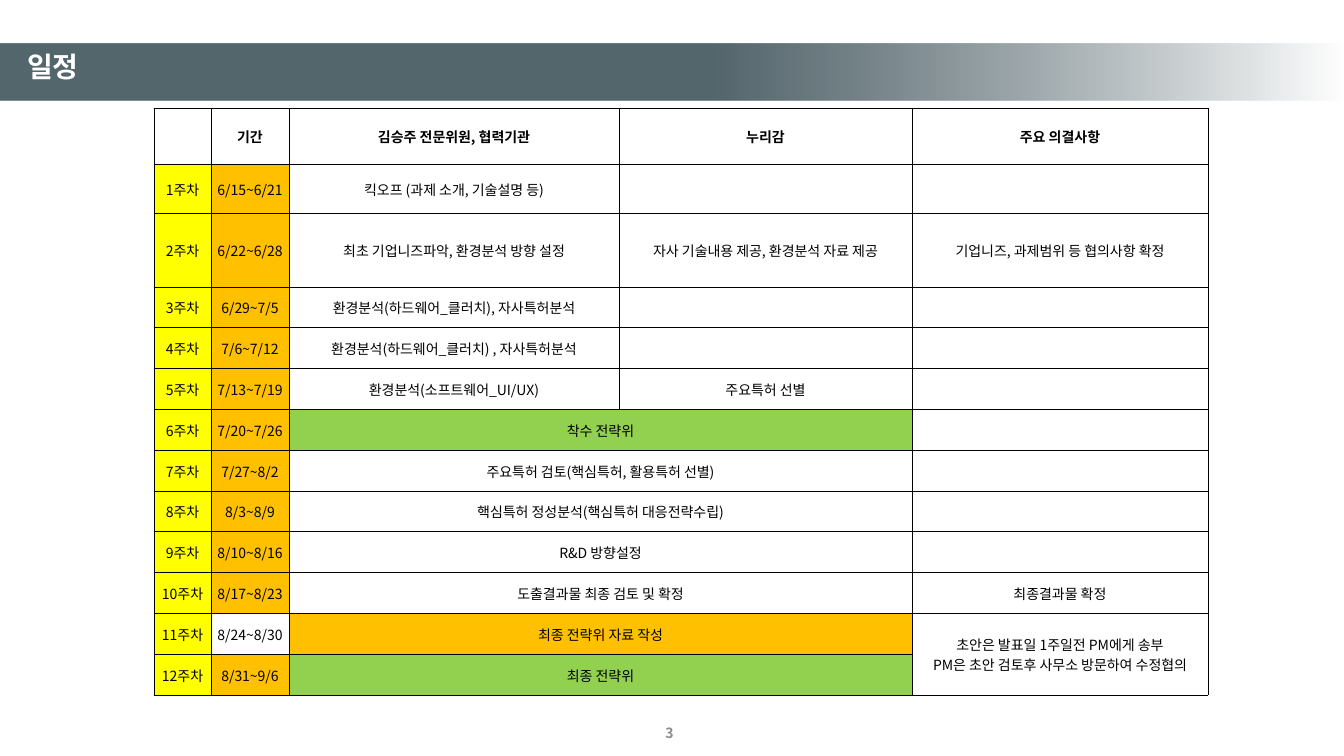
import pptx
import pptx.dml.color
import pptx.enum.shapes
import pptx.enum.text
import pptx.oxml
import pptx.oxml.ns
import pptx.util

EMU_PER_PX = 914400 / 100.8
FONT = "Noto Sans CJK KR"
NS = pptx.oxml.ns.nsdecls("a")
YELLOW, ORANGE, GREEN, WHITE, BLACK = "FFFF00", "FFC000", "92D050", "FFFFFF", "000000"

COLUMN_WIDTHS = [57, 78, 330, 293, 296]
TOP_ROW_HEIGHTS = [56, 49, 74]
HEADINGS = ["", "기간", "김승주 전문위원, 협력기관", "누리감", "주요 의결사항"]
# Period, expert's work, client's work (None: shared with the expert), decisions
WEEKS = [
    ("6/15~6/21", "킥오프 (과제 소개, 기술설명 등)", "", ""),
    ("6/22~6/28", "최초 기업니즈파악, 환경분석 방향 설정",
     "자사 기술내용 제공, 환경분석 자료 제공", "기업니즈, 과제범위 등 협의사항 확정"),
    ("6/29~7/5", "환경분석(하드웨어_클러치), 자사특허분석", "", ""),
    ("7/6~7/12", "환경분석(하드웨어_클러치) , 자사특허분석", "", ""),
    ("7/13~7/19", "환경분석(소프트웨어_UI/UX)", "주요특허 선별", ""),
    ("7/20~7/26", "착수 전략위", None, ""),
    ("7/27~8/2", "주요특허 검토(핵심특허, 활용특허 선별)", None, ""),
    ("8/3~8/9", "핵심특허 정성분석(핵심특허 대응전략수립)", None, ""),
    ("8/10~8/16", "R&D 방향설정", None, ""),
    ("8/17~8/23", "도출결과물 최종 검토 및 확정", None, "최종결과물 확정"),
    ("8/24~8/30", "최종 전략위 자료 작성", None,
     "초안은 발표일 1주일전 PM에게 송부\vPM은 초안 검토후 사무소 방문하여 수정협의"),
    ("8/31~9/6", "최종 전략위", None, ""),
]
WORK_FILLS = {6: GREEN, 11: ORANGE, 12: GREEN}
UNMARKED_PERIOD = 11


def px(length):
    return pptx.util.Emu(round(length * EMU_PER_PX))


def rgb(hex_color):
    return pptx.dml.color.RGBColor.from_string(hex_color)


def place(shape, box):
    shape.left, shape.top, shape.width, shape.height = map(px, box)


def format_text(frame, size, color, bold, align):
    for paragraph in frame.paragraphs:
        paragraph.alignment = align
        for run in paragraph.runs:
            font = run.font
            font.name, font.size, font.bold = FONT, pptx.util.Pt(size), bold
            font.color.rgb = rgb(color)
            font._element.append(pptx.oxml.parse_xml(f'<a:ea {NS} typeface="{FONT}"/>'))


def add_title_band(slide, box):
    """Draw the fading band behind the title and set the title in it."""
    left, top, width, height = box
    band = slide.shapes.add_shape(pptx.enum.shapes.MSO_SHAPE.RECTANGLE, *map(px, box))
    band.shadow.inherit = False
    band.line.fill.background()
    band.fill.gradient()
    band.fill.gradient_angle = 0
    stops = band._element.spPr.find(".//" + pptx.oxml.ns.qn("a:gsLst"))
    stops.clear()
    for position, color, opacity in [(0, "2B4149", 80), (53, "2B4149", 80), (100, WHITE, 100)]:
        stops.append(pptx.oxml.parse_xml(
            f'<a:gs {NS} pos="{position * 1000}"><a:srgbClr val="{color}">'
            f'<a:alpha val="{opacity * 1000}"/></a:srgbClr></a:gs>'))
    slide.shapes._spTree.insert(2, band._element)

    title = slide.shapes.title
    place(title, (left + 17, top + 4, width - 93, height - 9))
    frame = title.text_frame
    frame.text = "일정"
    frame.word_wrap = True
    frame.auto_size = pptx.enum.text.MSO_AUTO_SIZE.NONE
    frame.vertical_anchor = pptx.enum.text.MSO_ANCHOR.TOP
    frame.paragraphs[0].line_spacing = 0.9
    frame.paragraphs[0].space_before = pptx.util.Pt(10)
    format_text(frame, 20, WHITE, True, pptx.enum.text.PP_ALIGN.LEFT)


def style_cell(cell, fill, bold):
    cell.margin_left = cell.margin_right = cell.margin_top = px(1)
    cell.margin_bottom = 0
    cell.vertical_anchor = pptx.enum.text.MSO_ANCHOR.MIDDLE
    format_text(cell.text_frame, 10, BLACK, bold, pptx.enum.text.PP_ALIGN.CENTER)
    properties = cell._tc.get_or_add_tcPr()
    for side in "LRTB":
        properties.append(pptx.oxml.parse_xml(
            f'<a:ln{side} {NS} w="6350"><a:solidFill><a:srgbClr val="{BLACK}"/>'
            f'</a:solidFill></a:ln{side}>'))
    cell.fill.solid()
    cell.fill.fore_color.rgb = rgb(fill)


def cell_fill(week, column):
    if week == 0:
        return WHITE
    if column == 0:
        return YELLOW
    if column == 1:
        return WHITE if week == UNMARKED_PERIOD else ORANGE
    return WORK_FILLS.get(week, WHITE) if column in (2, 3) else WHITE


def add_schedule(slide, box):
    rows = [HEADINGS] + [(f"{week}주차", *plan) for week, plan in enumerate(WEEKS, 1)]
    schedule = slide.shapes.add_table(len(rows), len(HEADINGS), *map(px, box)).table
    schedule.first_row = schedule.horz_banding = False
    for column, width in zip(schedule.columns, COLUMN_WIDTHS):
        column.width = px(width)
    even_count = len(rows) - len(TOP_ROW_HEIGHTS)
    even_height = (box[3] - sum(TOP_ROW_HEIGHTS)) / even_count
    for row, height in zip(schedule.rows, TOP_ROW_HEIGHTS + [even_height] * even_count):
        row.height = px(height)

    for week, texts in enumerate(rows):
        for column, text in enumerate(texts):
            cell = schedule.cell(week, column)
            cell.text_frame.text = text or ""
            style_cell(cell, cell_fill(week, column), week == 0)
        if texts[3] is None:
            schedule.cell(week, 2).merge(schedule.cell(week, 3))
    schedule.cell(11, 4).merge(schedule.cell(12, 4))


def add_page_number(slide, box):
    frame = slide.shapes.add_textbox(*map(px, box)).text_frame
    frame.text = "3"
    frame.word_wrap = True
    frame.vertical_anchor = pptx.enum.text.MSO_ANCHOR.MIDDLE
    format_text(frame, 10, "8C8C8C", True, pptx.enum.text.PP_ALIGN.CENTER)


def main():
    deck = pptx.Presentation()
    deck.slide_width, deck.slide_height = px(1344), px(756)
    slide = deck.slides.add_slide(deck.slide_layouts.get_by_name("Title Only"))
    add_title_band(slide, (0, 44, 1344, 56))
    add_schedule(slide, (154, 108, 1054, 587))
    add_page_number(slide, (513, 713, 313, 40))
    deck.save("out.pptx")


if __name__ == "__main__":
    main()
